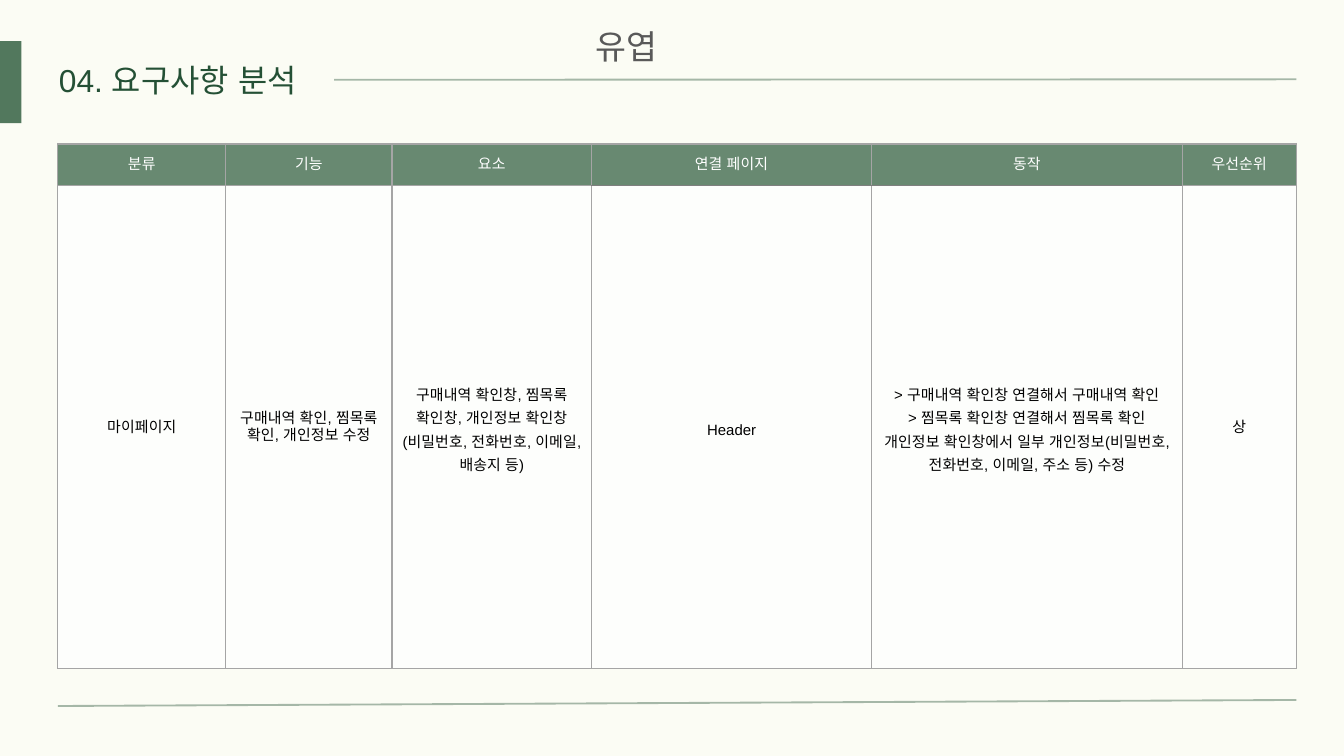
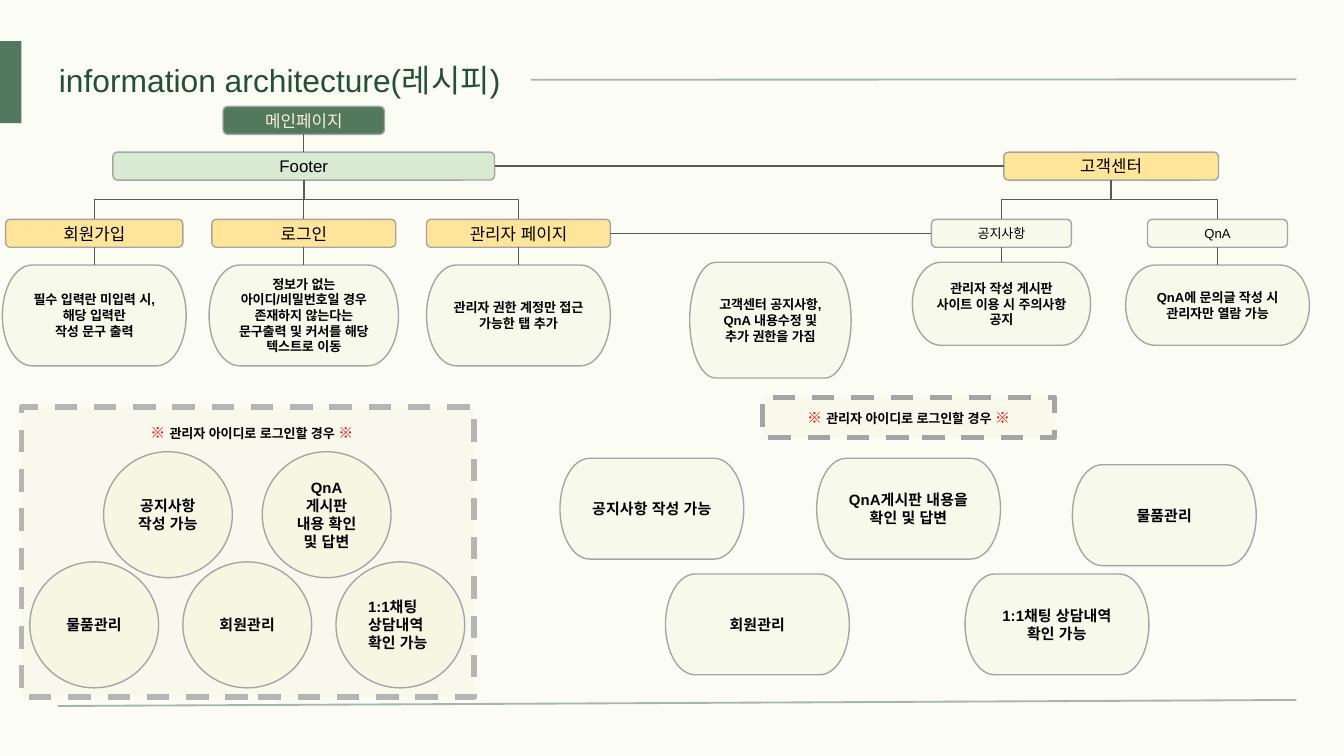
from lxml import etree
from pptx import Presentation
from pptx.dml.color import RGBColor
from pptx.enum import dml, shapes, text
from pptx.oxml.ns import qn
from pptx.util import Pt

# Shared look
FONT = "Arial"
WIDTH, HEIGHT = 720, 405
LEFT, RIGHT = 31, 694.5
LIME = RGBColor(0xE2, 0xEB, 0xAB)
BAND = RGBColor(0x28, 0x58, 0x38)
DEEP_GREEN = RGBColor(0x24, 0x50, 0x35)
HEAD_GREEN = RGBColor(0x4F, 0x75, 0x5B)
MAIN_GREEN = RGBColor(0x52, 0x78, 0x5E)
PALE_GREEN = RGBColor(0xD9, 0xEA, 0xD3)
YELLOW = RGBColor(0xFF, 0xE5, 0x99)
CREAM = RGBColor(0xF7, 0xF0, 0xD7)
PANEL = RGBColor(0xF8, 0xF9, 0xEC)
NOTICE_FILL = RGBColor(0xF8, 0xF9, 0xEA)
PANEL_EDGE = RGBColor(0xB5, 0xB6, 0xB3)
EDGE = RGBColor(0xA5, 0xA5, 0xA5)
MID_EDGE = RGBColor(0x7F, 0x7F, 0x7F)
GRAY = RGBColor(0x59, 0x59, 0x59)
RED = RGBColor(0xFF, 0, 0)
BLACK = RGBColor(0, 0, 0)
WHITE = RGBColor(0xFF, 0xFF, 0xFF)
TINT = (LIME, 13)

RECT = shapes.MSO_SHAPE.RECTANGLE
ROUND = shapes.MSO_SHAPE.ROUNDED_RECTANGLE
PILL = shapes.MSO_SHAPE.FLOWCHART_TERMINATOR
OVAL = shapes.MSO_SHAPE.OVAL
CENTER = text.PP_ALIGN.CENTER
TOP, SIDE_LEFT, BOTTOM, SIDE_RIGHT = range(4)

# Slide 1: requirements table
TABLE_TOP = 77
COLUMNS = [90, 89, 107, 150, 166.5, 61]
ROWS = [22.5, 258.5]
HEADINGS = ["분류", "기능", "요소", "연결 페이지", "동작", "우선순위"]
REQUIREMENT = [  # paragraphs, line spacing
    (["마이페이지"], None),
    (["구매내역 확인, 찜목록 확인, 개인정보 수정"], None),
    (["구매내역 확인창, 찜목록 확인창, 개인정보 확인창(비밀번호, 전화번호, 이메일, 배송지 등)"], 1.4),
    (["Header"], 1.4),
    (["> 구매내역 확인창 연결해서 구매내역 확인",
      "> 찜목록 확인창 연결해서 찜목록 확인",
      "개인정보 확인창에서 일부 개인정보(비밀번호, 전화번호, 이메일, 주소 등) 수정"], 1.4),
    (["상"], None),
]
DARK_RULE_COLUMNS = (3, 4)

# Slide 2: site map
NODE_HEIGHT = 15
NODES = {  # name: text, centre x, top, width, fill, size, colour
    "main": ("메인페이지", 162.75, 57, 86.5, MAIN_GREEN, 9, CREAM),
    "footer": ("Footer", 162.75, 81.5, 204.5, PALE_GREEN, 9, BLACK),
    "support": ("고객센터", 595.25, 81.5, 115, YELLOW, 9, BLACK),
    "join": ("회원가입", 50.5, 117.5, 95, YELLOW, 9, BLACK),
    "login": ("로그인", 162.75, 117.5, 98.5, YELLOW, 9, BLACK),
    "admin": ("관리자 페이지", 277.75, 117.5, 98.5, YELLOW, 9, BLACK),
    "news": ("공지사항", 536.5, 117.5, 75, TINT, 7, BLACK),
    "qna": ("QnA", 652.25, 117.5, 75, TINT, 7, BLACK),
}
NOTES = {  # parent: paragraphs, top, width, height
    "join": (["필수 입력란 미입력 시, 해당 입력란", "작성 문구 출력"], 142, 98.5, 54),
    "login": (["정보가 없는 아이디/비밀번호일 경우 존재하지 않는다는 "
               "문구출력 및 커서를 해당 텍스트로 이동"], 142, 101.5, 54),
    "admin": (["관리자 권한 계정만 접근 가능한 탭 추가"], 142, 98.5, 54),
    "news": (["관리자 작성 게시판", "사이트 이용 시 주의사항 공지"], 140.5, 95.5, 44.5),
    "qna": (["QnA에 문의글 작성 시 관리자만 열람 가능"], 142, 98.5, 43),
}
RIGHTS_NOTE = ["고객센터 공지사항, QnA 내용수정 및 추가 권한을 가짐"]
JOINS = [
    ("main", BOTTOM, "footer", TOP),
    ("footer", BOTTOM, "login", TOP),
    ("footer", SIDE_RIGHT, "support", SIDE_LEFT),
    ("admin", SIDE_RIGHT, "news", SIDE_LEFT),
]
BRANCHES = [("footer", "join"), ("footer", "admin"), ("support", "news"), ("support", "qna")]
ADMIN_WARNING = [[("※ ", dict(color=RED, size=8)),
                  ("관리자 아이디로 로그인할 경우 ", {}),
                  ("※", dict(color=RED, size=8))]]
CIRCLE_ROWS = [  # left, top, step, texts
    (55.5, 242, 85, [["공지사항 작성 가능"], ["QnA", "게시판", "내용 확인 및 답변"]]),
    (16, 301, 82, [["물품관리"], ["회원관리"], ["1:1채팅 상담내역 확인 가능"]]),
]
LEFT_ALIGNED = ["1:1채팅 상담내역 확인 가능"]
ADMIN_TASKS = [
    ("공지사항 작성 가능", 300, 245.5),
    ("QnA게시판 내용을 확인 및 답변", 437.5, 245.5),
    ("물품관리", 574.5, 249),
    ("회원관리", 356.5, 307.5),
    ("1:1채팅 상담내역 확인 가능", 517, 307.5),
]


def write(frame, paragraphs, size=8, color=BLACK, bold=False, align=CENTER,
          spacing=None, anchor=text.MSO_ANCHOR.MIDDLE):
    """Fill a text frame; a paragraph is a string or a list of (text, overrides)."""
    frame.word_wrap = True
    frame.vertical_anchor = anchor
    for index, content in enumerate(paragraphs):
        para = frame.paragraphs[0] if index == 0 else frame.add_paragraph()
        para.alignment = align
        if spacing:
            para.line_spacing = spacing
        for words, changes in [(content, {})] if isinstance(content, str) else content:
            span = para.add_run()
            span.text = words
            span.font.name = FONT
            span.font.size = Pt(changes.get("size", size))
            span.font.bold = bold
            span.font.color.rgb = changes.get("color", color)
            east = etree.SubElement(span.font._element, qn("a:ea"))
            east.set("typeface", FONT)


def set_alpha(element, percent):
    color = next(element.iter(qn("a:srgbClr")))
    etree.SubElement(color, qn("a:alpha")).set("val", str(percent * 1000))


def paint(target, element, fill):
    """Apply a solid fill given as a colour or as (colour, opacity)."""
    color, opacity = (fill, 100) if isinstance(fill, RGBColor) else fill
    target.fill.solid()
    target.fill.fore_color.rgb = color
    if opacity < 100:
        set_alpha(element, opacity)


def add_box(page, kind, x, y, width, height, fill, edge=EDGE, weight=0.75,
            dashed=False, paragraphs=(), **style):
    box = page.shapes.add_shape(kind, Pt(x), Pt(y), Pt(width), Pt(height))
    box.shadow.inherit = False
    paint(box, box._element.spPr, fill)
    if edge is None:
        box.line.fill.background()
    else:
        box.line.color.rgb = edge
        box.line.width = Pt(weight)
        if dashed:
            box.line.dash_style = dml.MSO_LINE.DASH
    frame = box.text_frame
    frame.margin_left = frame.margin_right = Pt(7.2)
    frame.margin_top = frame.margin_bottom = Pt(7.2)
    write(frame, paragraphs, **style)
    return box


def add_label(page, x, y, width, height, paragraphs, **style):
    frame = page.shapes.add_textbox(Pt(x), Pt(y), Pt(width), Pt(height)).text_frame
    frame.margin_top = frame.margin_bottom = Pt(7.2)
    write(frame, paragraphs, **style)


def add_line(page, start=(0, 0), end=(0, 0), color=GRAY, weight=0.75, opacity=100,
             kind=shapes.MSO_CONNECTOR.STRAIGHT):
    line = page.shapes.add_connector(kind, *[Pt(value) for value in (*start, *end)])
    line.line.color.rgb = color
    line.line.width = Pt(weight)
    properties = line._element.spPr
    if opacity < 100:
        set_alpha(properties, opacity)
    etree.SubElement(properties, qn("a:effectLst"))
    return line


def join(page, first, first_side, second, second_side):
    line = add_line(page)
    line.begin_connect(first, first_side)
    line.end_connect(second, second_side)


def add_branch(page, parent, child):
    """Elbow that leaves the parent downwards and enters the child's top."""
    x1, y1 = parent.left + parent.width // 2, parent.top + parent.height
    x2, y2 = child.left + child.width // 2, child.top
    line = add_line(page, kind=shapes.MSO_CONNECTOR.ELBOW)
    line.width, line.height = y2 - y1, abs(x2 - x1)
    line.left = (x1 + x2 - line.width) // 2
    line.top = (y1 + y2 - line.height) // 2
    frame = line._element.spPr.find(qn("a:xfrm"))
    frame.set("rot", str((90 if x2 < x1 else 270) * 60000))
    if x2 > x1:
        frame.set("flipH", "1")


def add_page(deck, title, rule_start):
    page = deck.slides.add_slide(deck.slide_layouts[6])
    add_box(page, RECT, 0, 0, WIDTH, HEIGHT, TINT, edge=None)
    add_box(page, RECT, 0, 22, 11.5, 44, (BAND, 80), edge=None)
    add_label(page, 24.5, 27.5, 407, 33, [title], size=17, color=DEEP_GREEN,
              align=text.PP_ALIGN.LEFT, spacing=0.9, anchor=text.MSO_ANCHOR.TOP)
    for start, end in [((rule_start, 42.75), (RIGHT, 42.5)), ((LEFT, 378.25), (RIGHT, 375))]:
        add_line(page, start, end, DEEP_GREEN, 1, 40)
    return page


def set_borders(cell, bottom=EDGE, top=EDGE, top_weight=0.75):
    sides = [("L", EDGE, 0.75), ("R", EDGE, 0.75), ("T", top, top_weight), ("B", bottom, 0.75)]
    for index, (side, color, weight) in enumerate(sides):
        border = etree.Element(qn("a:ln" + side), w=str(int(Pt(weight))))
        solid = etree.SubElement(border, qn("a:solidFill"))
        etree.SubElement(solid, qn("a:srgbClr")).set("val", str(color))
        cell._tc.get_or_add_tcPr().insert(index, border)


def add_requirements(page):
    table = page.shapes.add_table(2, len(COLUMNS), Pt(LEFT), Pt(TABLE_TOP),
                                  Pt(sum(COLUMNS)), Pt(sum(ROWS))).table
    table.first_row = table.horz_banding = False
    for row, height in zip(table.rows, ROWS):
        row.height = Pt(height)
    for index, width in enumerate(COLUMNS):
        table.columns[index].width = Pt(width)
        rule = MID_EDGE if index in DARK_RULE_COLUMNS else EDGE
        paragraphs, spacing = REQUIREMENT[index]
        head, body = table.cell(0, index), table.cell(1, index)
        write(head.text_frame, [HEADINGS[index]], color=WHITE)
        write(body.text_frame, paragraphs, spacing=spacing)
        for cell, fill in ((head, (HEAD_GREEN, 85)), (body, (WHITE, 75))):
            cell.vertical_anchor = text.MSO_ANCHOR.MIDDLE
            cell.margin_left = cell.margin_right = Pt(5)
            cell.margin_top = cell.margin_bottom = Pt(2.5)
            paint(cell, cell._tc.get_or_add_tcPr(), fill)
        set_borders(head, bottom=rule, top_weight=1)
        set_borders(body, top=rule)


def add_site_map(page):
    # Tree of pages with a note under each leaf
    nodes = {}
    for name, (label, center, top, width, fill, size, color) in NODES.items():
        nodes[name] = add_box(page, ROUND, center - width / 2, top, width, NODE_HEIGHT, fill,
                              paragraphs=[label], size=size, color=color)
    for name, (paragraphs, top, width, height) in NOTES.items():
        note = add_box(page, PILL, NODES[name][1] - width / 2, top, width, height, TINT,
                       paragraphs=paragraphs, size=7, bold=True)
        join(page, nodes[name], BOTTOM, note, TOP)
    for first, first_side, second, second_side in JOINS:
        join(page, nodes[first], first_side, nodes[second], second_side)
    for parent, child in BRANCHES:
        add_branch(page, nodes[parent], nodes[child])
    add_box(page, PILL, 369.5, 140.5, 86.5, 62, TINT,
            paragraphs=RIGHTS_NOTE, size=7, bold=True)

    # Administrator panel with circles
    add_box(page, RECT, 11.5, 218, 242.5, 155.5, PANEL, PANEL_EDGE, 3, dashed=True)
    add_label(page, 60.5, 221, 149, 21.5, ADMIN_WARNING, size=7, bold=True)
    for left, top, step, texts in CIRCLE_ROWS:
        for index, paragraphs in enumerate(texts):
            align = text.PP_ALIGN.LEFT if paragraphs == LEFT_ALIGNED else CENTER
            add_box(page, OVAL, left + index * step, top, 69, 67.5, TINT,
                    paragraphs=paragraphs, bold=True, align=align)

    # Administrator tasks
    add_box(page, RECT, 408.5, 213, 156.5, 21.5, NOTICE_FILL, weight=3, dashed=True,
            paragraphs=ADMIN_WARNING, size=7, bold=True)
    for label, x, y in ADMIN_TASKS:
        add_box(page, PILL, x, y, 98.5, 54, TINT, paragraphs=[label], bold=True)


def main():
    deck = Presentation()
    deck.slide_width, deck.slide_height = Pt(WIDTH), Pt(HEIGHT)

    page = add_page(deck, "04. 요구사항 분석", 179)
    add_requirements(page)
    add_label(page, 312, 6.5, 70.5, 36, ["유엽"], size=18, color=GRAY,
              align=text.PP_ALIGN.LEFT, anchor=text.MSO_ANCHOR.TOP)

    add_site_map(add_page(deck, "information architecture(레시피)", 284.5))
    deck.save("out.pptx")


if __name__ == "__main__":
    main()
